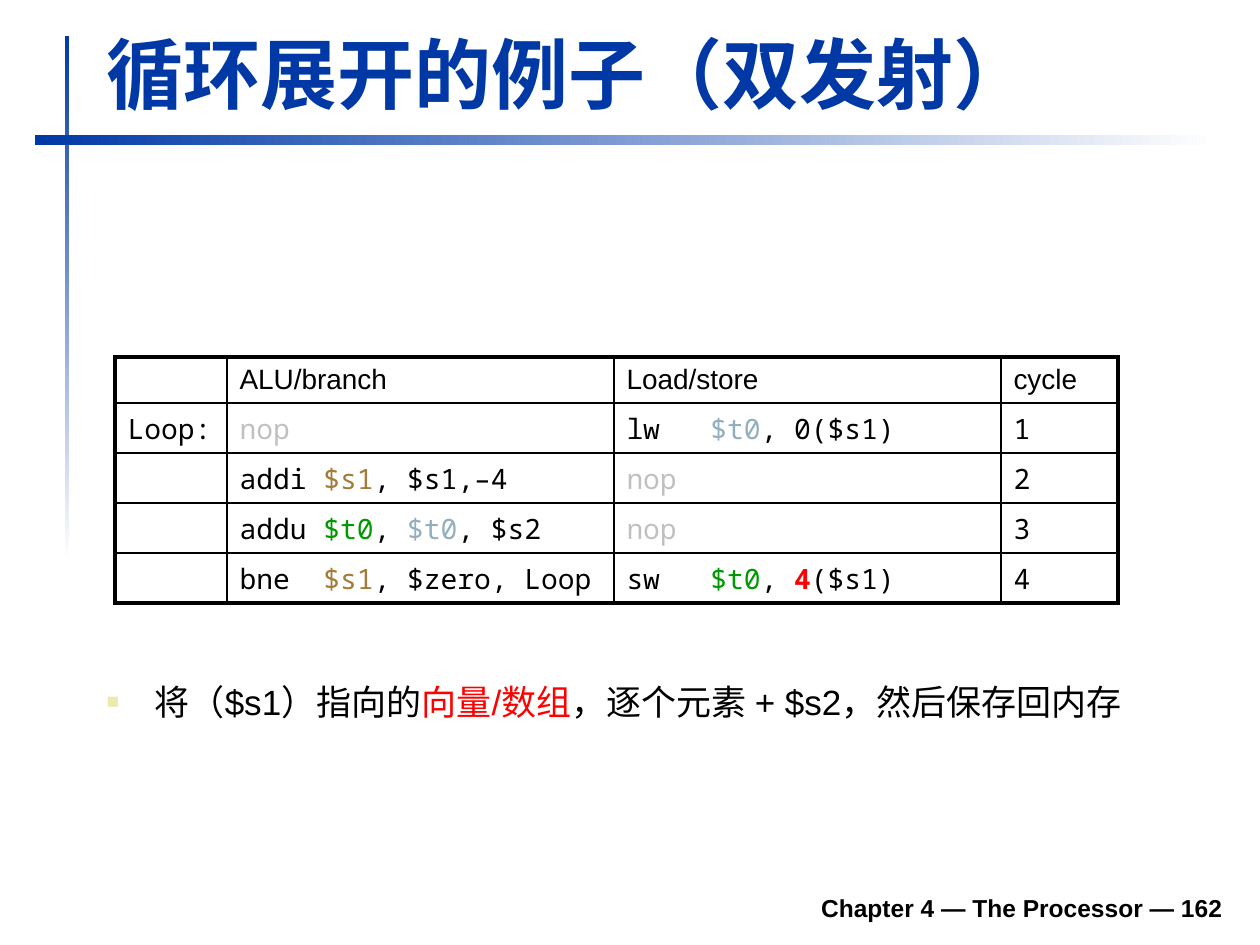
from lxml.etree import SubElement
from pptx import Presentation
from pptx.dml.color import RGBColor as RGB
from pptx.enum.shapes import MSO_SHAPE as Kind
from pptx.enum.text import MSO_ANCHOR as Anchor, MSO_AUTO_SIZE as Auto, PP_ALIGN as Align
from pptx.oxml import parse_xml
from pptx.oxml.ns import nsdecls, qn
from pptx.util import Emu, Pt

BLUE = RGB(0x00, 0x39, 0xA6)
WHITE = RGB(0xFF, 0xFF, 0xFF)
BLACK = RGB(0x00, 0x00, 0x00)
GREY = RGB(0xC0, 0xC0, 0xC0)
STEEL = RGB(0x91, 0xAF, 0xBF)
BROWN = RGB(0xA4, 0x7B, 0x38)
GREEN = RGB(0x00, 0x99, 0x00)
RED = RGB(0xFF, 0x00, 0x00)
CREAM = RGB(0xEC, 0xEA, 0xAC)

SANS, MONO = "Arial", "Noto Sans Mono"
THIN, RULE, THICK = 1, 1.5, 2.25


def px(n):
    return Emu(round(n * 914400 / 126))


class Deck:
    def __init__(self):
        self.prs = Presentation()
        self.prs.slide_width, self.prs.slide_height = px(1260), px(945)
        self.slide = self.prs.slides.add_slide(self.prs.slide_layouts[1])
        self.base = {"name": SANS, "bold": False}

    def place(self, shape, box):
        for key, n in zip(("left", "top", "width", "height"), box):
            setattr(shape, key, px(n))

    def runs(self, para, parts, **style):
        """Each part is (text, colour) or (text, colour, bold)."""
        for text, color, *bold in parts:
            run = para.add_run()
            run.text = text
            form = {**self.base, **style}
            if bold:
                form["bold"] = bold[0]
            for key, val in form.items():
                setattr(run.font, key, val)
            run.font.color.rgb = color

    def bar(self, box, angle):
        shape = self.slide.shapes.add_shape(Kind.RECTANGLE, *map(px, box))
        shape.shadow.inherit = False
        shape.line.fill.background()
        shape.fill.gradient()
        shape.fill.gradient_angle = angle
        for stop, color in zip(shape.fill.gradient_stops, (BLUE, WHITE)):
            stop.color.rgb = color

    def title(self, text, box):
        shape = self.slide.shapes.title
        self.place(shape, box)
        frame = shape.text_frame
        form = {"word_wrap": True, "vertical_anchor": Anchor.BOTTOM,
                "auto_size": Auto.SHAPE_TO_FIT_TEXT}
        for key, val in form.items():
            setattr(frame, key, val)
        para = frame.paragraphs[0]
        para.alignment = Align.LEFT
        self.runs(para, [(text, BLUE)], size=Pt(44), bold=True)

    def body(self, parts, box):
        shape = self.slide.placeholders[1]
        self.place(shape, box)
        shape.text_frame.auto_size = Auto.NONE
        para = shape.text_frame.paragraphs[0]
        props = para._p.get_or_add_pPr()
        props.set("marL", str(px(48)))
        props.set("indent", str(px(-48)))
        color = SubElement(props, qn("a:buClr"))
        SubElement(color, qn("a:srgbClr"), val=str(CREAM))
        SubElement(props, qn("a:buSzPct"), val="60000")
        SubElement(props, qn("a:buFont"), typeface=SANS)
        SubElement(props, qn("a:buChar"), char="■")
        para.space_before = Pt(0)
        self.runs(para, parts, size=Pt(20))

    def footer(self, text, box):
        frame = self.slide.shapes.add_textbox(*map(px, box)).text_frame
        frame.word_wrap = True
        frame.vertical_anchor = Anchor.BOTTOM
        para = frame.paragraphs[0]
        para.alignment = Align.RIGHT
        self.runs(para, [(text, BLACK)], size=Pt(14), bold=True)

    def edge(self, cell, widths):
        props = cell._tc.get_or_add_tcPr()
        for spot, (side, width) in enumerate(zip("LRTB", widths)):
            props.insert(spot, parse_xml(
                f'<a:ln{side} {nsdecls("a")} w="{Pt(width)}"><a:solidFill>'
                f'<a:srgbClr val="{BLACK}"/></a:solidFill></a:ln{side}>'))

    def table(self, rows, box, cols, highs):
        shape = self.slide.shapes.add_table(len(rows), len(cols), *map(px, box))
        grid = shape.table
        grid.first_row = grid.horz_banding = False
        for col, n in zip(grid.columns, cols):
            col.width = px(n)
        for row, n in zip(grid.rows, highs):
            row.height = px(n)
        last, end = len(rows) - 1, len(cols) - 1
        for r, row in enumerate(rows):
            for c, parts in enumerate(row):
                cell = grid.cell(r, c)
                cell.fill.background()
                cell.vertical_anchor = Anchor.MIDDLE
                para = cell.text_frame.paragraphs[0]
                if parts:
                    self.runs(para, parts, size=Pt(16), name=MONO if r else SANS)
                else:
                    SubElement(para._p, qn("a:endParaRPr"), sz="1600")
                self.edge(cell, (
                    THICK if c == 0 else THIN,
                    THICK if c == end else THIN,
                    THICK if r == 0 else RULE if r == 1 else THIN,
                    THICK if r == last else RULE if r == 0 else THIN))


def plain(text):
    return [(text, BLACK)]


def main():
    deck = Deck()

    # Crossed gradient bars and footer
    deck.bar((65, 36, 4, 525), 270)
    deck.bar((35, 135, 1180, 10), 0)
    deck.footer("Chapter 4 — The Processor — 162", (233, 880, 1002, 49))

    deck.title("循环展开的例子（双发射）", (94, 20, 1138, 105))

    # Dual-issue schedule
    nop = [("nop", GREY)]
    rows = [
        [[], plain("ALU/branch"), plain("Load/store"), plain("cycle")],
        [plain("Loop:"), nop,
         [("lw   ", BLACK), ("$t0", STEEL), (", 0($s1)", BLACK)], plain("1")],
        [[], [("addi ", BLACK), ("$s1", BROWN), (", $s1,–4", BLACK)], nop, plain("2")],
        [[], [("addu ", BLACK), ("$t0", GREEN), (", ", BLACK), ("$t0", STEEL),
              (", $s2", BLACK)], nop, plain("3")],
        [[], [("bne  ", BLACK), ("$s1", BROWN), (", $zero, Loop", BLACK)],
         [("sw   ", BLACK), ("$t0", GREEN), (", ", BLACK), ("4", RED, True),
          ("($s1)", BLACK)], plain("4")],
    ]
    deck.table(rows, (115, 357, 1003, 246), (112, 387, 387, 117), [44] + [50] * 4)

    # Note below the table
    deck.body([("将（$s1）指向的", BLACK), ("向量/数组", RED),
               ("，逐个元素 + $s2，然后保存回内存", BLACK)], (94, 674, 1140, 185))

    deck.prs.save("out.pptx")


if __name__ == "__main__":
    main()
